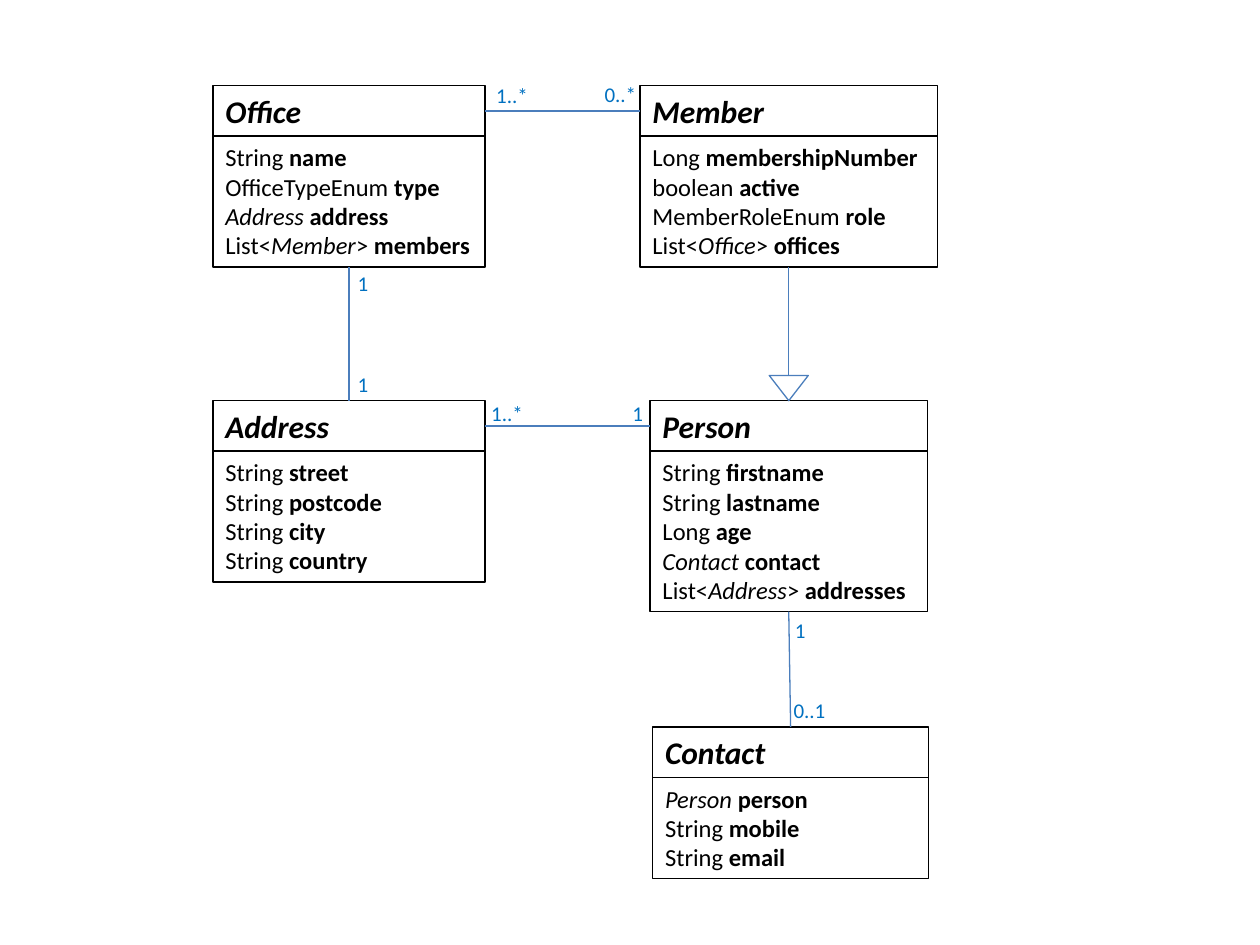
from pptx import Presentation
from pptx.dml.color import RGBColor
from pptx.enum.shapes import MSO_CONNECTOR, MSO_SHAPE
from pptx.enum.text import MSO_ANCHOR, MSO_AUTO_SIZE, PP_ALIGN
from pptx.oxml.ns import qn
from pptx.util import Inches, Pt
from lxml import etree

BLACK = RGBColor(0x00, 0x00, 0x00)
LINE_BLUE = RGBColor(0x4B, 0x7E, 0xBC)
LABEL_BLUE = RGBColor(0x00, 0x70, 0xC0)
FONT = "Calibri"
TITLE_HEIGHT = 0.4
FIELD_HEIGHT = 0.235
FIELDS_PADDING = 0.1
TOP, BOTTOM = 0, 2

# name: (left, top, width, [(type, field), ...])
CLASSES = {
    "Office": (1.69, 0.68, 2.16, [
        ("String", "name"), ("OfficeTypeEnum", "type"),
        ("Address", "address"), ("List<Member>", "members")]),
    "Member": (5.08, 0.68, 2.36, [
        ("Long", "membershipNumber"), ("boolean", "active"),
        ("MemberRoleEnum", "role"), ("List<Office>", "offices")]),
    "Address": (1.69, 3.18, 2.16, [
        ("String", "street"), ("String", "postcode"),
        ("String", "city"), ("String", "country")]),
    "Person": (5.16, 3.18, 2.2, [
        ("String", "firstname"), ("String", "lastname"), ("Long", "age"),
        ("Contact", "contact"), ("List<Address>", "addresses")]),
    "Contact": (5.18, 5.77, 2.19, [
        ("Person", "person"), ("String", "mobile"), ("String", "email")]),
}

# (text, left, top, width)
MULTIPLICITIES = [
    ("1..*", 3.84, 0.61, 0.46), ("0..*", 4.7, 0.6, 0.46),
    ("1", 4.92, 3.13, 0.29), ("1..*", 3.8, 3.13, 0.45),
    ("1", 2.74, 2.1, 0.29), ("1", 2.74, 2.9, 0.29),
    ("1", 6.21, 4.85, 0.29), ("0..1", 6.2, 5.49, 0.46),
]


def add_run(paragraph, text, size, color=BLACK, bold=False, italic=False):
    run = paragraph.add_run()
    run.text = text
    font = run.font
    font.name, font.size, font.bold, font.italic = FONT, Pt(size), bold, italic
    font.color.rgb = color


def style_outline(shape, color):
    shape.shadow.inherit = False
    shape.fill.background()
    shape.line.color.rgb = color
    shape.line.width = Pt(0.75)


def add_compartment(group, left, top, width, height):
    shape = group.shapes.add_shape(
        MSO_SHAPE.RECTANGLE, Inches(left), Inches(top), Inches(width), Inches(height))
    style_outline(shape, BLACK)
    frame = shape.text_frame
    frame.word_wrap = True
    frame.auto_size = MSO_AUTO_SIZE.SHAPE_TO_FIT_TEXT
    frame.vertical_anchor = MSO_ANCHOR.TOP
    frame.paragraphs[0].alignment = PP_ALIGN.LEFT
    return shape


def add_field(paragraph, type_name, field_name):
    """Write one field; classes of the diagram are set in italics."""
    paragraph.alignment = PP_ALIGN.LEFT
    if type_name.startswith("List<"):
        add_run(paragraph, "List<", 14)
        add_run(paragraph, type_name[5:-1], 14, italic=True)
        add_run(paragraph, "> ", 14)
    else:
        add_run(paragraph, f"{type_name} ", 14, italic=type_name in CLASSES)
    add_run(paragraph, field_name, 14, bold=True)


def add_class(slide, name, left, top, width, fields):
    """Draw a class and return its title and field compartments."""
    group = slide.shapes.add_group_shape()
    title = add_compartment(group, left, top, width, TITLE_HEIGHT)
    add_run(title.text_frame.paragraphs[0], name, 18, bold=True, italic=True)

    height = FIELDS_PADDING + FIELD_HEIGHT * len(fields)
    body = add_compartment(group, left, top + TITLE_HEIGHT, width, height)
    frame = body.text_frame
    for index, (type_name, field_name) in enumerate(fields):
        paragraph = frame.add_paragraph() if index else frame.paragraphs[0]
        add_field(paragraph, type_name, field_name)
    return title, body


def add_line(slide):
    """Add a line whose ends are placed by the caller."""
    connector = slide.shapes.add_connector(MSO_CONNECTOR.STRAIGHT, 0, 0, 0, 0)
    connector.line.color.rgb = LINE_BLUE
    connector.line.width = Pt(0.75)
    etree.SubElement(connector._element.spPr, qn("a:effectLst"))
    return connector


def add_association(slide, start, start_site, end, end_site):
    connector = add_line(slide)
    connector.begin_connect(start, start_site)
    connector.end_connect(end, end_site)


def add_generalization(slide, child, parent):
    """Draw a line from the child to a hollow triangle on the parent."""
    width, height = Inches(0.31), Inches(0.2)
    center = parent.left + parent.width // 2
    triangle_top = parent.top - height
    connector = add_line(slide)
    connector.begin_connect(child, BOTTOM)
    connector.end_x, connector.end_y = center, triangle_top
    triangle = slide.shapes.add_shape(
        MSO_SHAPE.ISOSCELES_TRIANGLE, center - width // 2, triangle_top, width, height)
    triangle.rotation = 180
    style_outline(triangle, LINE_BLUE)


def add_multiplicity(slide, text, left, top, width):
    box = slide.shapes.add_textbox(Inches(left), Inches(top), Inches(width), Inches(0.3))
    frame = box.text_frame
    frame.word_wrap = False
    frame.auto_size = MSO_AUTO_SIZE.SHAPE_TO_FIT_TEXT
    add_run(frame.paragraphs[0], text, 12, LABEL_BLUE)


def main():
    presentation = Presentation()
    presentation.slide_width, presentation.slide_height = Inches(10), Inches(7.5)
    slide = presentation.slides.add_slide(presentation.slide_layouts[6])

    titles, bodies = {}, {}
    for name, layout in CLASSES.items():
        titles[name], bodies[name] = add_class(slide, name, *layout)

    left_side, right_side = 1, 3
    for start, end in [("Office", "Member"), ("Address", "Person")]:
        add_association(slide, titles[start], right_side, titles[end], left_side)
    for start, end in [("Person", "Contact"), ("Office", "Address")]:
        add_association(slide, bodies[start], BOTTOM, titles[end], TOP)
    add_generalization(slide, bodies["Member"], titles["Person"])

    for multiplicity in MULTIPLICITIES:
        add_multiplicity(slide, *multiplicity)

    presentation.save("out.pptx")


if __name__ == "__main__":
    main()
